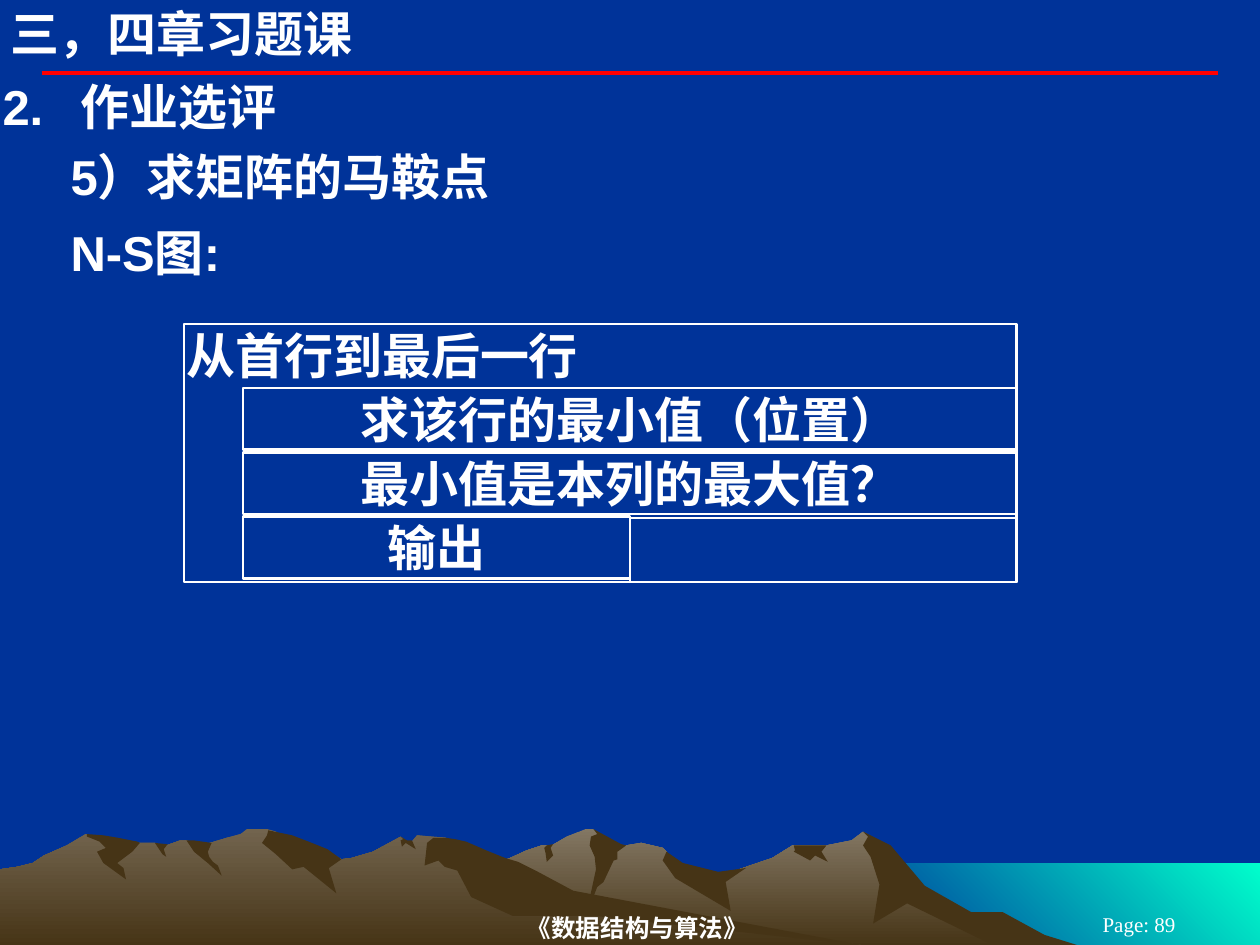
from pptx import Presentation
from pptx.dml.color import RGBColor
from pptx.enum.shapes import MSO_CONNECTOR, MSO_SHAPE
from pptx.enum.text import MSO_ANCHOR as ANCHOR, MSO_AUTO_SIZE, PP_ALIGN as ALIGN
from pptx.oxml.ns import qn
from pptx.util import Inches, Pt

WHITE, RED, NAVY = "FFFFFF", "FF0000", "003399"
SHADE, ROCK, PALE_ROCK, AQUA = "463416", "72644E", "837763", "00FFCC"

# Outlines in hundredths of an inch from the top left of the landscape
WATER = [(1000, 102), (683, 102), (683, 35), (1000, 35)]
RIGHT_RANGE = [
    (802, 90), (778, 77), (764, 73), (723, 48), (702, 21), (685, 10), (676, 17),
    (656, 21), (629, 21), (613, 31), (566, 47), (536, 40), (529, 26), (526, 23),
    (509, 19), (497, 21), (486, 23), (474, 11), (471, 8), (465, 8), (450, 14),
    (438, 21), (430, 21), (418, 25), (405, 31), (394, 35), (355, 48), (327, 59),
    (277, 89), (258, 101), (821, 101)]
LEFT_RANGE = [
    (690, 101), (667, 98), (432, 62), (354, 15), (331, 13), (327, 18), (323, 18),
    (318, 14), (296, 26), (279, 31), (271, 32), (260, 26), (236, 31), (223, 13),
    (219, 10), (212, 8), (196, 8), (191, 12), (180, 15), (160, 21), (148, 17),
    (143, 17), (132, 21), (128, 21), (123, 19), (111, 19), (94, 21), (68, 12),
    (53, 21), (35, 29), (26, 35), (14, 38), (0, 40), (0, 101)]
RIGHT_SHADOWS = [
    [(796, 74), (771, 74), (734, 53), (707, 21), (685, 10), (689, 14), (685, 21),
     (691, 30), (698, 52), (693, 83), (720, 67), (792, 102), (858, 101), (829, 92)],
    [(471, 8), (474, 12), (469, 14), (468, 21), (472, 30), (473, 40), (465, 77),
     (474, 54), (479, 50), (487, 33), (490, 32), (490, 26), (497, 21), (493, 20)],
    [(529, 26), (526, 33), (536, 47), (580, 73), (576, 50), (592, 39), (570, 42),
     (542, 35)],
    [(650, 21), (630, 21), (631, 25), (630, 26), (643, 33), (647, 29), (657, 34),
     (652, 26), (656, 21)],
    [(433, 27), (432, 23), (434, 21), (439, 20), (437, 23), (439, 29), (434, 34)],
]
LEFT_SHADOWS = [
    [(212, 13), (208, 19), (219, 28), (232, 40), (241, 38), (267, 59), (261, 39),
     (271, 32), (260, 24), (245, 18), (232, 13), (213, 9)],
    [(370, 18), (361, 16), (354, 15), (344, 15), (339, 19), (337, 37), (348, 33),
     (353, 38), (363, 41), (374, 62), (407, 77), (472, 77), (690, 101), (683, 100),
     (455, 57), (427, 42), (411, 34), (401, 31), (386, 25)],
    [(318, 17), (320, 16), (318, 14), (323, 17), (327, 17), (330, 24), (322, 19),
     (319, 22)],
    [(154, 17), (161, 18), (168, 19), (165, 26), (166, 30), (169, 34), (173, 37),
     (176, 45), (165, 35), (154, 26), (148, 17)],
    [(133, 20), (130, 24), (132, 30), (129, 28), (123, 19)],
    [(109, 18), (111, 19), (105, 26), (93, 35), (98, 39), (100, 48), (82, 35),
     (77, 26), (84, 23), (79, 18), (69, 14), (69, 12), (82, 13), (94, 15)],
]


def rgb(hex_color):
    return RGBColor.from_string(hex_color)


def write(frame, text, size=28, font="Arial", bold=True, align=ALIGN.LEFT,
          anchor=ANCHOR.TOP, inset=(0.02, 0.01), before=(), margins=()):
    """Fill a frame line by line; margins pairs each line's left margin and indent."""
    frame.word_wrap = True
    frame.auto_size = MSO_AUTO_SIZE.NONE
    frame.vertical_anchor = anchor
    frame.margin_left = frame.margin_right = Inches(inset[0])
    frame.margin_top = frame.margin_bottom = Inches(inset[1])
    frame.text = text
    for i, paragraph in enumerate(frame.paragraphs):
        if margins:
            props = paragraph._p.get_or_add_pPr()
            margin, indent = margins[i]
            props.set("marL", str(Inches(margin)))
            props.set("indent", str(Inches(indent)))
            props.insert(0, props.makeelement(qn("a:buNone"), {}))
        paragraph.alignment = align
        paragraph.space_before = Pt(before[i] if before else 0)
        for run in paragraph.runs:
            run.font.size, run.font.name, run.font.bold = Pt(size), font, bold
            run.font.color.rgb = rgb(WHITE)


def place(shape, left, top, width, height):
    shape.left, shape.top = Inches(left), Inches(top)
    shape.width, shape.height = Inches(width), Inches(height)


def add_outline(slide, left, top, points, *colors, angle=0):
    """Draw a closed outline in one colour, or in a gradient of two."""
    builder = slide.shapes.build_freeform(*points[0], scale=Inches(0.01))
    builder.add_line_segments(points[1:], close=True)
    outline = builder.convert_to_shape(Inches(left), Inches(top))
    outline.shadow.inherit = False
    outline.line.fill.background()
    if len(colors) == 1:
        outline.fill.solid()
        outline.fill.fore_color.rgb = rgb(colors[0])
        return
    outline.fill.gradient()
    outline.fill.gradient_angle = angle
    for position, (stop, color) in enumerate(zip(outline.fill.gradient_stops, colors)):
        stop.position = position
        stop.color.rgb = rgb(color)


def add_landscape(slide, left, top):
    add_outline(slide, left, top, WATER, AQUA, NAVY, angle=225)
    for mountains, crest, shadows in ((RIGHT_RANGE, PALE_ROCK, RIGHT_SHADOWS),
                                      (LEFT_RANGE, ROCK, LEFT_SHADOWS)):
        add_outline(slide, left, top, mountains, crest, SHADE, angle=270)
        for shadow in shadows:
            add_outline(slide, left, top, shadow, SHADE)


def add_footer(slide, left, top):
    for text, x, y, width, height, size, bold in (
            ("《数据结构与算法》", 0, 0, 6.06, 0.28, 14, True),
            ("Page: 89", 6.22, 0.03, 1.58, 0.17, 12, False)):
        box = slide.shapes.add_textbox(Inches(left + x), Inches(top + y),
                                       Inches(width), Inches(height))
        write(box.text_frame, text, size=size, font="Times New Roman", bold=bold,
              align=ALIGN.CENTER, anchor=ANCHOR.MIDDLE)


def add_heading(slide, left, top, width):
    title = slide.shapes.title
    place(title, left, top, width, 0.47)
    write(title.text_frame, "三，四章习题课", inset=(0, 0))
    rule = slide.shapes.add_connector(MSO_CONNECTOR.STRAIGHT, Inches(0.33), Inches(top + 0.55),
                                      Inches(9.67), Inches(top + 0.55))
    rule.line.color.rgb = rgb(RED)
    rule.line.width = Pt(2.25)
    props = rule._element.spPr
    props.append(props.makeelement(qn("a:effectLst"), {}))


def add_exercise(slide, left, top, width):
    body = slide.placeholders[1]
    place(body, left, top, width, 1.65)
    write(body.text_frame, "2.\t作业选评\n5）求矩阵的马鞍点\nN-S图:",
          before=(0, 6, 10), margins=((0.62, -0.62), (0.54, 0), (0.54, 0)))


def add_ns_diagram(slide, left, top, width):
    def add_cell(x, y, cell_width, height, text="", align=ALIGN.CENTER):
        cell = slide.shapes.add_shape(MSO_SHAPE.RECTANGLE, Inches(left + x), Inches(top + y),
                                      Inches(cell_width), Inches(height))
        cell.shadow.inherit = False
        cell.fill.background()
        cell.line.color.rgb = rgb(WHITE)
        cell.line.width = Pt(1.5)
        write(cell.text_frame, text, align=align)

    row, gap, indent = 0.49, 0.02, 0.47
    pitch, inner = row + gap, width - indent
    add_cell(0, 0, width, 4 * pitch + 0.01, "从首行到最后一行", ALIGN.LEFT)
    for number, text in enumerate(("求该行的最小值（位置）", "最小值是本列的最大值？"), 1):
        add_cell(indent, number * pitch, inner, row, text)
    add_cell(indent, 3 * pitch, inner / 2, row, "输出")
    add_cell(indent + inner / 2, 3 * pitch + 0.01, inner / 2, pitch)


def main():
    deck = Presentation()
    deck.slide_width, deck.slide_height = Inches(10), Inches(7.5)
    slide = deck.slides.add_slide(deck.slide_layouts[1])
    slide.background.fill.solid()
    slide.background.fill.fore_color.rgb = rgb(NAVY)
    add_landscape(slide, 0, 6.5)
    add_footer(slide, 2.03, 7.22)
    add_heading(slide, 0.08, 0.03, 6.5)
    add_exercise(slide, 0, 0.6, 10)
    add_ns_diagram(slide, 1.46, 2.57, 6.61)
    deck.save("out.pptx")


if __name__ == "__main__":
    main()
